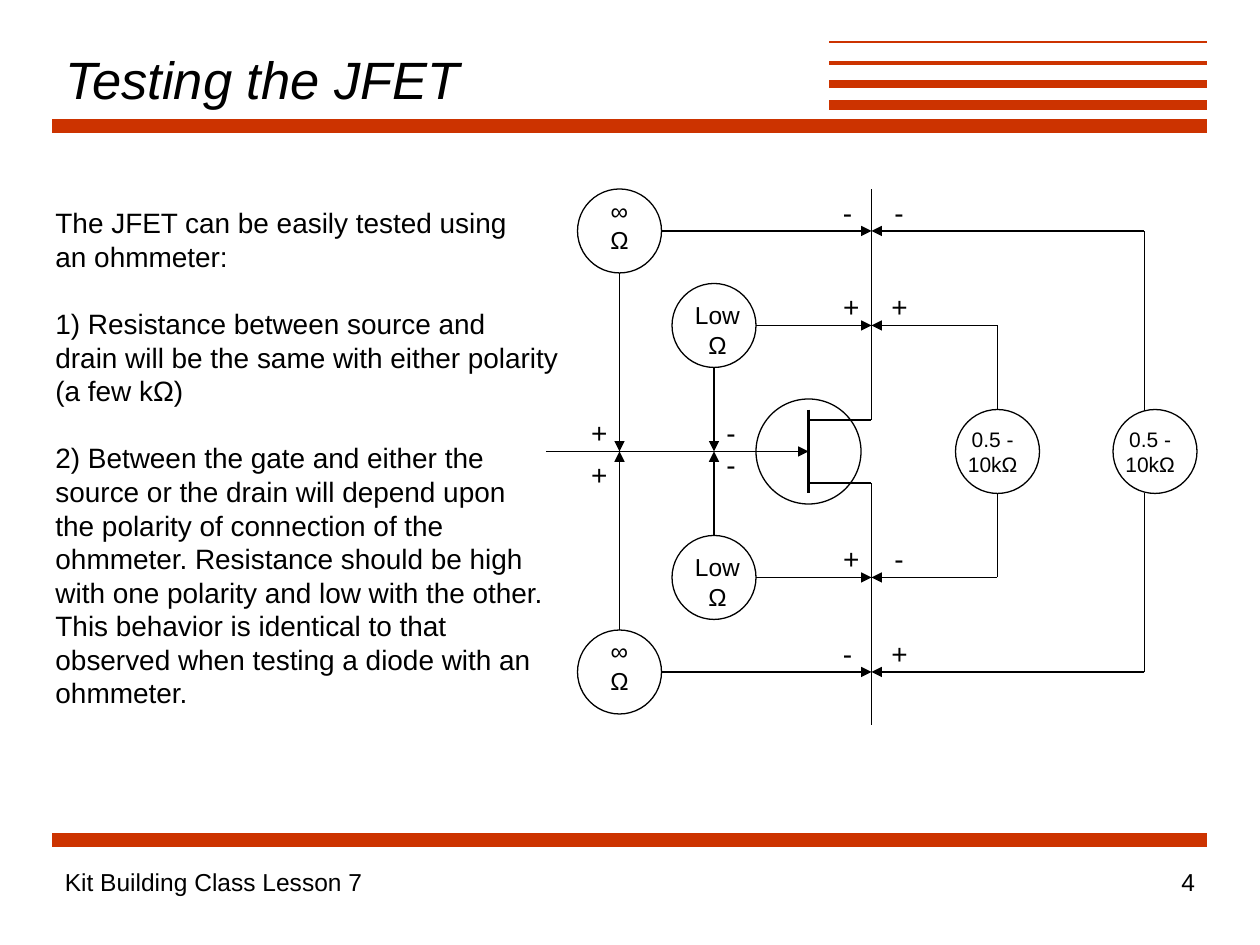
from dataclasses import dataclass
from pptx import Presentation
from pptx.dml.color import RGBColor
from pptx.enum.shapes import MSO_CONNECTOR, MSO_SHAPE
from pptx.enum.text import MSO_ANCHOR, MSO_AUTO_SIZE, PP_ALIGN
from pptx.oxml.ns import qn
from pptx.util import Pt
from lxml.etree import SubElement


@dataclass(frozen=True)
class Theme:
    """Colours, font and type sizes of the slide."""
    ink: RGBColor = RGBColor(0, 0, 0)
    bar: RGBColor = RGBColor(0xCC, 0x33, 0x00)
    font: str = "Arial"
    title: float = 30
    body: float = 16
    foot: float = 14
    label: float = 14
    small: float = 12
    thin: float = 0.75
    thick: float = 1.5
    lead: float = 1.2


THEME = Theme()
RAIL, GATE, SIZE = 498, 258, 48
BODY = [
    ["The JFET can be easily tested using", "an ohmmeter:"],
    ["1) Resistance between source and",
     "drain will be the same with either polarity", "(a few kΩ)"],
    ["2) Between the gate and either the",
     "source or the drain will depend upon",
     "the polarity of connection of the",
     "ohmmeter. Resistance should be high",
     "with one polarity and low with the other.",
     "This behavior is identical to that",
     "observed when testing a diode with an", "ohmmeter."],
]
BARS = [(30, 72, 8), (474, 60, 6), (474, 48, 4.5), (474, 36, 2.25),
        (474, 24, 1.5), (30, 480, 8)]
SIGNS = [
    ("-", 504, 306), ("-", 504, 108), ("-", 474.5, 108), ("-", 474.5, 360),
    ("-", 408, 252), ("-", 408, 234),
    ("+", 502, 360), ("+", 502, 162), ("+", 474.5, 162), ("+", 474.5, 306),
    ("+", 330.5, 234), ("+", 330.5, 258),
]


def place(shape, x, y, w, h):
    """Move and size a shape."""
    shape.left, shape.top = Pt(x), Pt(y)
    shape.width, shape.height = Pt(w), Pt(h)


def write(para, text, size, align=PP_ALIGN.LEFT, slant=False):
    """Add one styled run to a paragraph."""
    para.alignment = align
    para.line_spacing = Pt(round(size * THEME.lead, 1))
    run = para.add_run()
    run.text = text
    run.font.name = THEME.font
    run.font.size = Pt(size)
    run.font.italic = slant
    run.font.color.rgb = THEME.ink


def line(slide, start, end, width=THEME.thin, color=THEME.ink, arrow=False):
    """Draw a straight line, with an arrowhead at its end if asked."""
    points = [Pt(v) for v in (*start, *end)]
    wire = slide.shapes.add_connector(MSO_CONNECTOR.STRAIGHT, *points)
    wire.line.width = Pt(width)
    wire.line.color.rgb = color
    props = wire._element.spPr
    if arrow:
        SubElement(props.find(qn("a:ln")), qn("a:tailEnd"), type="triangle")
    SubElement(props, qn("a:effectLst"))


def ring(slide, x, y, size):
    """Draw an unfilled circle."""
    disc = slide.shapes.add_shape(
        MSO_SHAPE.OVAL, Pt(x), Pt(y), Pt(size), Pt(size))
    disc.shadow.inherit = False
    disc.fill.background()
    disc.line.color.rgb = THEME.ink
    disc.line.width = Pt(THEME.thin)


def label(slide, box, rows, size, align=PP_ALIGN.CENTER, wrap=False):
    """Add a text box with one paragraph for each row."""
    frame = slide.shapes.add_textbox(*[Pt(v) for v in box]).text_frame
    frame.word_wrap = wrap
    for i, row in enumerate(rows):
        para = frame.add_paragraph() if i else frame.paragraphs[0]
        write(para, row, size, align)


def title(slide):
    """Fill the title placeholder."""
    head = slide.shapes.title
    place(head, 30, 24, 444, 42)
    frame = head.text_frame
    frame.auto_size = MSO_AUTO_SIZE.NONE
    frame.vertical_anchor = MSO_ANCHOR.MIDDLE
    write(frame.paragraphs[0], "Testing the JFET", THEME.title, slant=True)


def body(slide):
    """Fill the body placeholder with blocks of unbulleted lines."""
    hold = slide.placeholders[1]
    place(hold, 24.5, 114, 302, 295)
    frame = hold.text_frame
    frame.auto_size = MSO_AUTO_SIZE.NONE
    frame.vertical_anchor = MSO_ANCHOR.TOP
    frame.word_wrap = False
    for b, block in enumerate(BODY):
        for i, row in enumerate(block):
            para = frame.add_paragraph() if b or i else frame.paragraphs[0]
            write(para, row, THEME.body)
            gap = THEME.body * THEME.lead if b and not i else 0
            para.space_before = Pt(round(gap, 1))
            props = para._p.get_or_add_pPr()
            props.set("marL", "0")
            props.set("indent", "0")
            SubElement(props, qn("a:buNone"))


def jfet(slide):
    """Draw the transistor with its gate, source and drain leads."""
    line(slide, (462, 234), (462, 282), THEME.thick)
    line(slide, (312, GATE), (462, GATE), arrow=True)
    ring(slide, 432, 228, 60)
    for y, end in ((276, 414), (240, 108)):
        line(slide, (462, y), (RAIL, y))
        line(slide, (RAIL, y), (RAIL, end))


def probe(slide, x, y, rows, box):
    """Draw a meter centred at x, y, wired to the rail and to the gate."""
    half = SIZE / 2
    ring(slide, x - half, y - half, SIZE)
    label(slide, box, rows, THEME.label)
    line(slide, (x + half, y), (RAIL, y), arrow=True)
    edge = y + half if y < GATE else y - half
    line(slide, (x, edge), (x, GATE), arrow=True)


def loop(slide, left, x, ends):
    """Draw a meter wired at x to the rail above and below the gate."""
    half = SIZE / 2
    ring(slide, left, GATE - half, SIZE)
    label(slide, (left, 240, 42.5, 36), ["0.5 -", "10kΩ"], THEME.small)
    for edge, y in zip((GATE - half, GATE + half), ends):
        line(slide, (x, edge), (x, y))
        line(slide, (x, y), (RAIL, y), arrow=True)


def main():
    """Build and save the slide."""
    deck = Presentation()
    deck.slide_width, deck.slide_height = Pt(720), Pt(540)
    slide = deck.slides.add_slide(deck.slide_layouts[1])
    for x, y, width in BARS:
        line(slide, (x, y), (690, y), width, THEME.bar)
    title(slide)
    body(slide)
    jfet(slide)
    for y, top in ((132, 108.5), (384, 360)):
        probe(slide, 354, y, ["∞", "Ω"], (341.5, top, 25, 41))
    for y in (186, 330):
        probe(slide, 408, y, ["Low", "Ω"], (390, y - 18, 40, 41))
    loop(slide, 546, 570, (186, 330))
    loop(slide, 636, 654, (132, 384))
    for sign, x, y in SIGNS:
        width = 24 if sign == "+" else 19.5
        label(slide, (x, y, width, 26.5), [sign], THEME.body)
    label(slide, (30, 492, 498, 36), ["Kit Building Class Lesson 7"],
          THEME.foot, PP_ALIGN.LEFT, True)
    label(slide, (540, 492, 150, 36), ["4"],
          THEME.foot, PP_ALIGN.RIGHT, True)
    deck.save("out.pptx")


if __name__ == "__main__":
    main()
